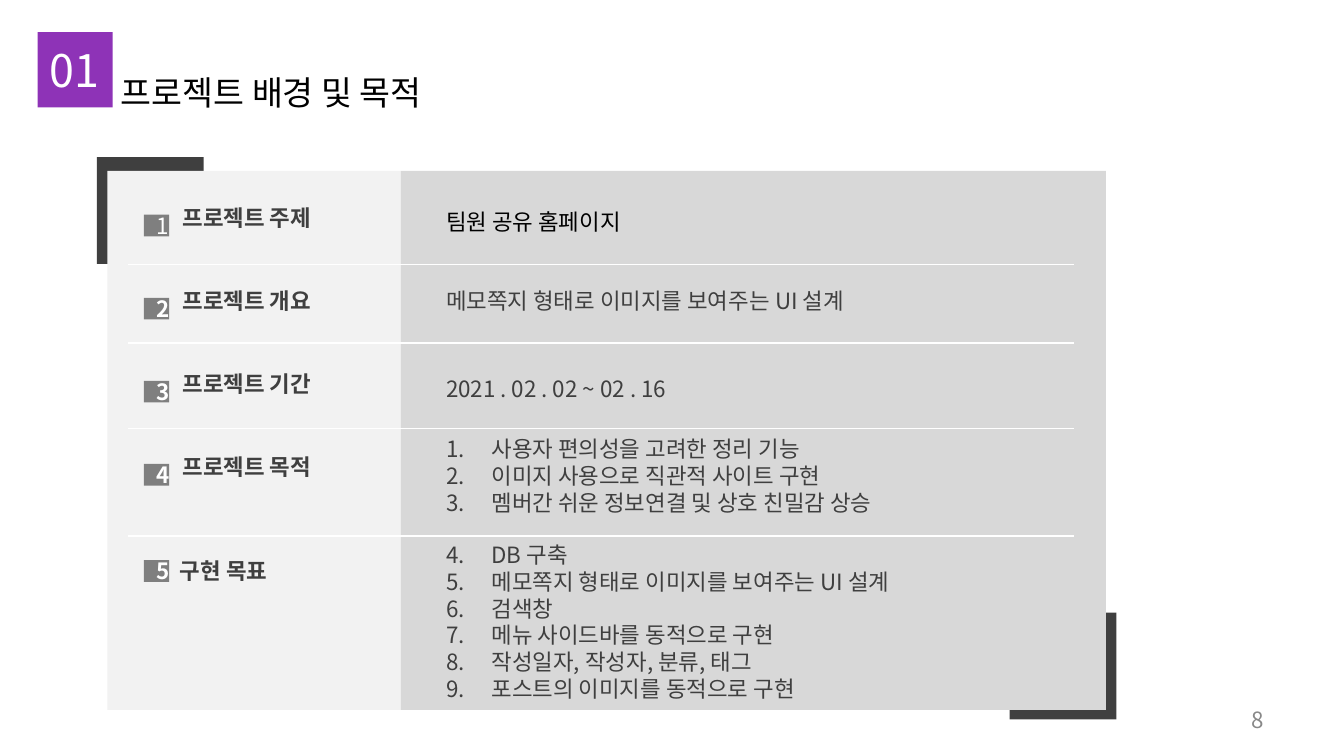
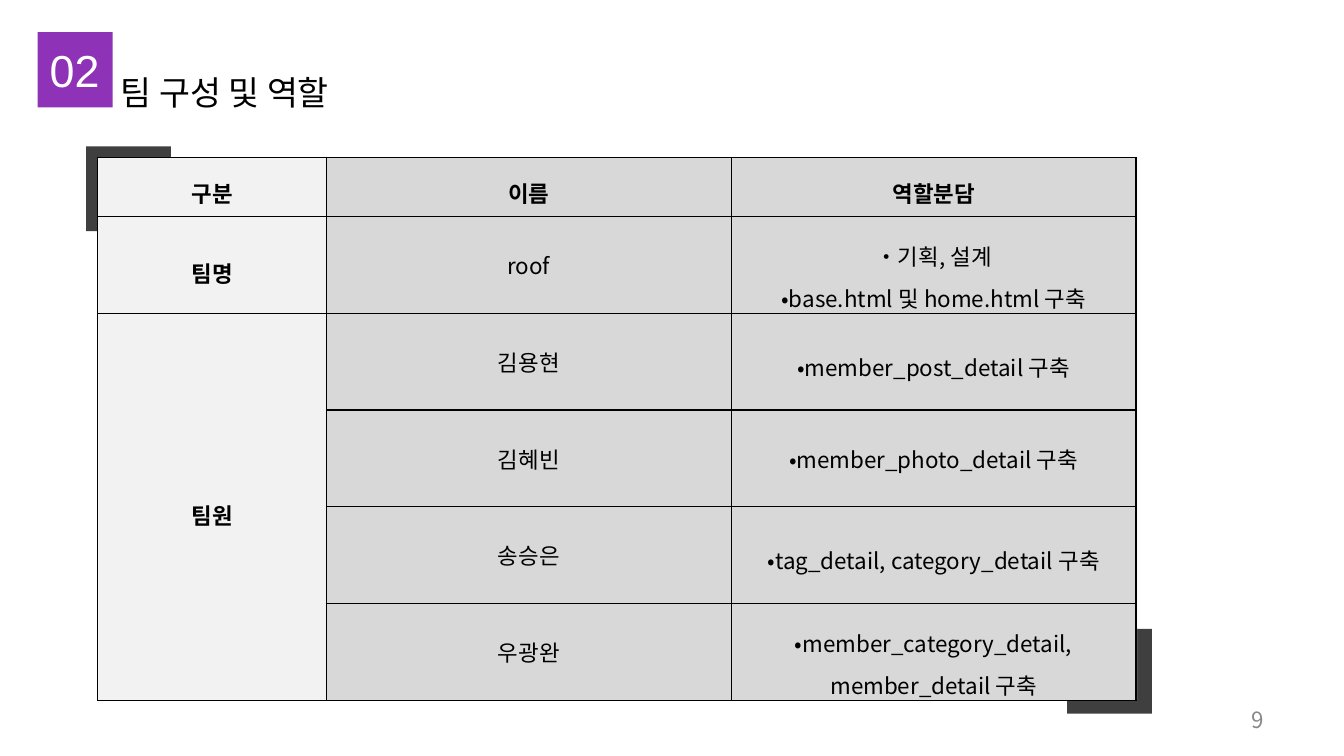
"""Build the project background slide and the team roles slide."""
import pptx
import pptx.dml.color
import pptx.enum.shapes
import pptx.enum.text
import pptx.oxml.ns
import pptx.util
from lxml import etree

Cm = pptx.util.Cm
Pt = pptx.util.Pt
RGBColor = pptx.dml.color.RGBColor
Align = pptx.enum.text.PP_ALIGN
Anchor = pptx.enum.text.MSO_ANCHOR
qn = pptx.oxml.ns.qn

PURPLE = RGBColor(0x8E, 0x33, 0xB7)
DARK = RGBColor(0x3F, 0x3F, 0x3F)
PALE = RGBColor(0xF2, 0xF2, 0xF2)
SILVER = RGBColor(0xD8, 0xD8, 0xD8)
GRAY = RGBColor(0x7F, 0x7F, 0x7F)
PAGE_GRAY = RGBColor(0x88, 0x88, 0x88)
WHITE = RGBColor(0xFF, 0xFF, 0xFF)
BLACK = RGBColor(0, 0, 0)
FONT = "Noto Sans CJK KR"

TOPICS = ["프로젝트 주제", "프로젝트 개요", "프로젝트 기간", "프로젝트 목적"]
GOALS = [
    "사용자 편의성을 고려한 정리 기능",
    "이미지 사용으로 직관적 사이트 구현",
    "멤버간 쉬운 정보연결 및 상호 친밀감 상승",
]
FEATURES = [
    "DB 구축",
    "메모쪽지 형태로 이미지를 보여주는 UI 설계",
    "검색창",
    "메뉴 사이드바를 동적으로 구현",
    "작성일자, 작성자, 분류, 태그",
    "포스트의 이미지를 동적으로 구현",
]
HEADINGS = ["구분", "이름", "역할분담"]
MEMBERS = [
    ("팀명", "roof", ["•기획, 설계", "•base.html 및 home.html 구축"], 1.3),
    ("팀원", "김용현", ["•member_post_detail 구축"], 1.3),
    ("", "김혜빈", ["•member_photo_detail 구축"], None),
    ("", "송승은", ["•tag_detail, category_detail 구축"], 1.3),
    ("", "우광완", ["•member_category_detail,", "member_detail 구축"], 1.3),
]


def add_span(para, text, size=12, color=DARK, bold=False, font=FONT):
    """Append one formatted run to a paragraph."""
    span = para.add_run()
    span.text = text
    span.font.size = Pt(size)
    span.font.bold = bold
    span.font.color.rgb = color
    span.font.name = font
    east_asian = etree.SubElement(span._r.get_or_add_rPr(), qn("a:ea"))
    east_asian.set("typeface", font)


def add_rect(page, left, top, width, height, color):
    """Draw a plain filled rectangle, measured in centimetres."""
    rect = page.shapes.add_shape(
        pptx.enum.shapes.MSO_SHAPE.RECTANGLE, Cm(left), Cm(top), Cm(width), Cm(height))
    rect.shadow.inherit = False
    rect.fill.solid()
    rect.fill.fore_color.rgb = color
    rect.line.fill.background()
    return rect


def add_box(page, left, top, width, height):
    """Add a wrapping text box and return its text frame."""
    frame = page.shapes.add_textbox(Cm(left), Cm(top), Cm(width), Cm(height)).text_frame
    frame.word_wrap = True
    return frame


def add_label(page, left, top, width, height, text, align=Align.LEFT, **style):
    """Add a text box holding a single run."""
    frame = add_box(page, left, top, width, height)
    para = frame.paragraphs[0]
    para.alignment = align
    add_span(para, text, **style)
    return frame


def add_page(deck, number, title, page_number, number_font=FONT):
    """Add a title-only slide with its number block, title and page number."""
    page = deck.slides.add_slide(deck.slide_layouts[5])
    add_rect(page, 0.71, 0.61, 1.42, 1.42, PURPLE)
    add_label(page, 0.51, 0.69, 1.8, 1.27, number, Align.CENTER,
              size=24, color=WHITE, font=number_font)
    holder = page.shapes.title
    holder.left, holder.top, holder.width, holder.height = Cm(2.03), Cm(1.24), Cm(12), Cm(1.02)
    frame = holder.text_frame
    frame.auto_size = pptx.enum.text.MSO_AUTO_SIZE.NONE
    frame.vertical_anchor = Anchor.TOP
    para = frame.paragraphs[0]
    para.alignment = Align.LEFT
    add_span(para, title, size=18, color=BLACK)
    footer = add_label(page, 18.21, 13.23, 5.92, 0.76, page_number, Align.RIGHT, color=PAGE_GRAY)
    footer.vertical_anchor = Anchor.MIDDLE
    return page


def add_panel(page, corners, corner_size, left, top, split, right, height):
    """Draw the two-tone panel over its dark corner squares."""
    for corner_left, corner_top in corners:
        add_rect(page, corner_left, corner_top, corner_size, corner_size, DARK)
    add_rect(page, left, top, split - left, height, PALE)
    add_rect(page, split, top, right - split, height, SILVER)


def add_topic(page, number, text, badge_top, label_left, label_top):
    """Add a numbered badge with its bold label."""
    badge = add_rect(page, 2.72, badge_top, 0.48, 0.41, GRAY)
    badge.text_frame.vertical_anchor = Anchor.MIDDLE
    para = badge.text_frame.paragraphs[0]
    para.alignment = Align.CENTER
    add_span(para, str(number), color=WHITE, bold=number > 1)
    add_label(page, label_left, label_top, 6.07, 1.07, text, bold=True)


def add_divider(page, top):
    """Draw a thin white rule across the panel."""
    rule = page.shapes.add_connector(
        pptx.enum.shapes.MSO_CONNECTOR.STRAIGHT, Cm(2.41), Cm(top), Cm(20.29), Cm(top))
    rule.line.color.rgb = WHITE
    rule.line.width = Pt(0.75)
    etree.SubElement(rule._element.spPr, qn("a:effectLst"))


def add_numbered_list(page, goals, features):
    """Add one numbered list with a gap between goals and features."""
    frame = add_box(page, 7.77, 8.1, 13.33, 1.83)
    for index, text in enumerate(goals + features):
        para = frame.paragraphs[0] if index == 0 else frame.add_paragraph()
        if index == len(goals):
            para.space_before = Pt(13.5)
        properties = para._p.get_or_add_pPr()
        properties.set("marL", str(Cm(1.27)))
        properties.set("indent", str(Cm(-0.85)))
        color = etree.SubElement(properties, qn("a:buClr"))
        etree.SubElement(color, qn("a:srgbClr")).set("val", str(DARK))
        etree.SubElement(properties, qn("a:buFont")).set("typeface", "+mj-lt")
        etree.SubElement(properties, qn("a:buAutoNum")).set("type", "arabicPeriod")
        add_span(para, text)


def set_borders(cell):
    """Give a cell thin black borders on all sides."""
    properties = cell._tc.get_or_add_tcPr()
    for side in ("lnL", "lnR", "lnT", "lnB"):
        line = etree.SubElement(properties, qn("a:" + side))
        line.set("w", str(Pt(0.75)))
        fill = etree.SubElement(line, qn("a:solidFill"))
        etree.SubElement(fill, qn("a:srgbClr")).set("val", str(BLACK))


def fill_cell(cell, lines, spacing=None, bold=False):
    """Write centred lines into a table cell."""
    for index, text in enumerate(lines):
        para = cell.text_frame.paragraphs[0] if index == 0 else cell.text_frame.add_paragraph()
        para.alignment = Align.CENTER
        if spacing:
            para.line_spacing = spacing
        add_span(para, text, color=BLACK, bold=bold)


def add_team_table(page):
    """Add the table of team members and their roles."""
    widths = [4.32, 7.65, 7.65]
    heights = [1.12] + [1.83] * len(MEMBERS)
    table = page.shapes.add_table(len(heights), len(widths), Cm(1.85), Cm(2.97),
                                  Cm(sum(widths)), Cm(sum(heights))).table
    table.first_row = table.horz_banding = False
    for column, width in zip(table.columns, widths):
        column.width = Cm(width)
    for row, height in zip(table.rows, heights):
        row.height = Cm(height)
    for cell in table.iter_cells():
        set_borders(cell)
        cell.fill.background()
        cell.vertical_anchor = Anchor.MIDDLE
        cell.margin_left = cell.margin_right = Cm(0.25)
        cell.margin_top = cell.margin_bottom = Cm(0.25)
    for column, heading in enumerate(HEADINGS):
        fill_cell(table.cell(0, column), [heading], 1.2, True)
    for row, (group, name, roles, spacing) in enumerate(MEMBERS, 1):
        if group:
            fill_cell(table.cell(row, 0), [group], 1.5, True)
        fill_cell(table.cell(row, 1), [name])
        fill_cell(table.cell(row, 2), roles, spacing)
    table.cell(2, 0).merge(table.cell(len(MEMBERS), 0))


def build_background(deck):
    """Build the slide on the project's background and purpose."""
    page = add_page(deck, "01", "프로젝트 배경 및 목적", "8")
    add_panel(page, [(1.83, 2.97), (19.08, 11.58)], 2.02, 2.03, 3.23, 7.57, 20.9, 10.19)
    for index, topic in enumerate(TOPICS):
        top = 4.06 + 1.57 * index
        add_topic(page, index + 1, topic, top, 3.2, top - 0.33)
    add_topic(page, 5, "구현 목표", 10.59, 3.15, 10.41)
    subject = add_label(page, 8.18, 3.73, 5.16, 0.91, "팀원 공유 홈페이지", color=BLACK)
    subject.paragraphs[0].line_spacing = 1.15
    add_label(page, 8.18, 5.31, 13.33, 0.97, FEATURES[1])
    add_label(page, 8.18, 6.96, 13.33, 0.97, "2021 . 02 . 02 ~ 02 . 16")
    for top in (5, 6.48, 8.1, 10.13):
        add_divider(page, top)
    add_numbered_list(page, GOALS, FEATURES)


def build_team(deck):
    """Build the slide on the team and its roles."""
    page = add_page(deck, "02", "팀 구성 및 역할", "9", "Arial")
    add_panel(page, [(20.17, 11.89), (1.63, 2.77)], 1.6, 1.85, 2.97, 6.17, 21.49, 10.26)
    add_team_table(page)


def main():
    """Create the deck and save it."""
    deck = pptx.Presentation()
    deck.slide_width, deck.slide_height = Cm(25.4), Cm(14.29)
    build_background(deck)
    build_team(deck)
    deck.save("out.pptx")


if __name__ == "__main__":
    main()
